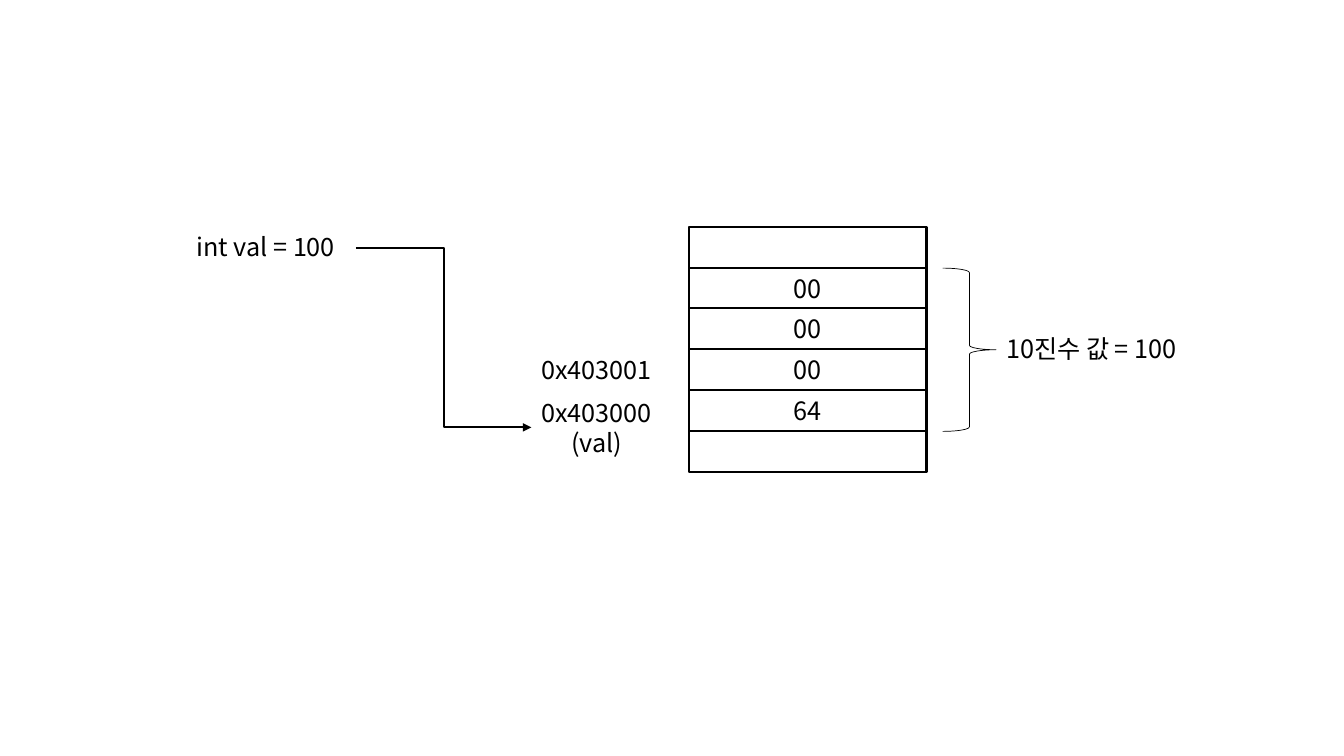
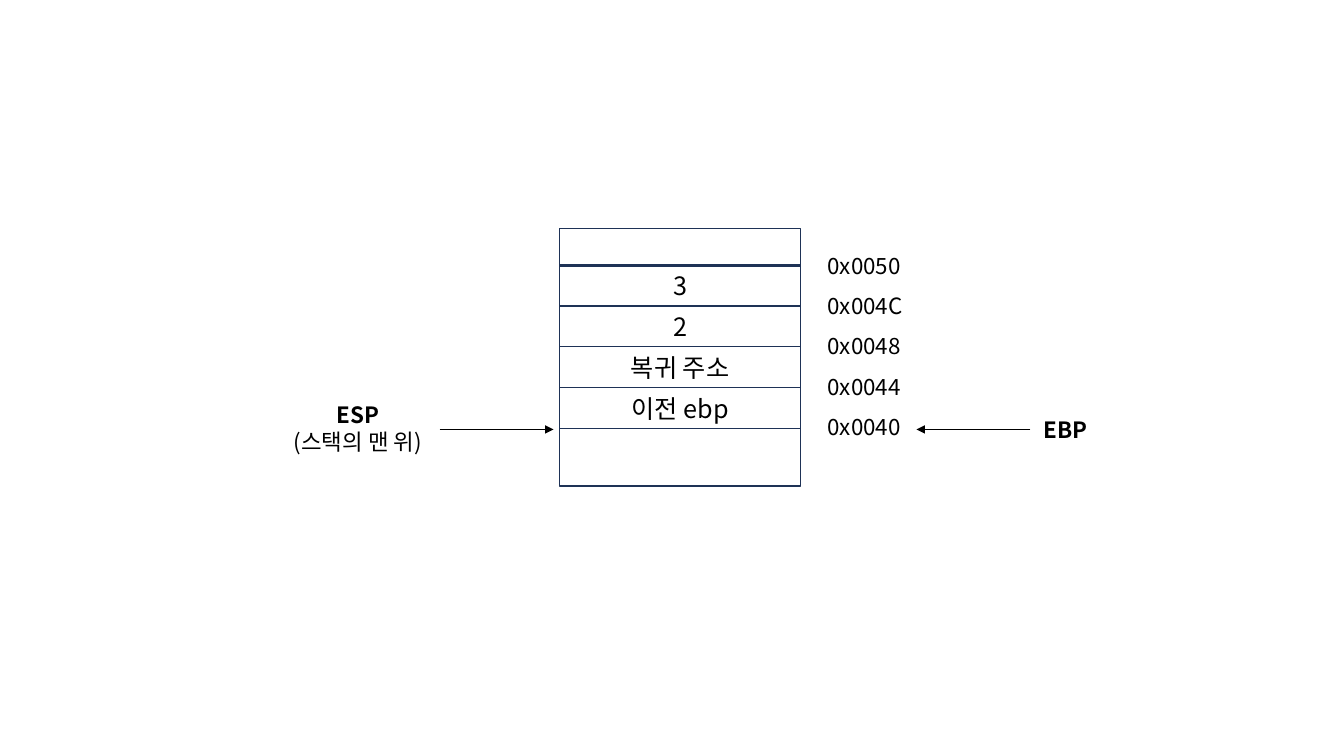
from lxml.etree import SubElement
from pptx import Presentation
from pptx.dml.color import RGBColor
from pptx.enum.shapes import MSO_CONNECTOR, MSO_SHAPE
from pptx.enum.text import MSO_ANCHOR, MSO_AUTO_SIZE, PP_ALIGN
from pptx.oxml.ns import qn
from pptx.util import Inches, Pt

BLACK = RGBColor(0x00, 0x00, 0x00)
NAVY = RGBColor(0x1E, 0x32, 0x56)
FONT = "Noto Sans CJK KR"
ROW_HEIGHT = 2.43 / 6


def style_paragraph(paragraph, size, align=PP_ALIGN.LEFT, bold=False):
    paragraph.alignment = align
    font = paragraph.font
    font.name = FONT
    font.size = Pt(size)
    font.bold = bold
    font.color.rgb = BLACK
    defaults = paragraph._p.get_or_add_pPr().find(qn("a:defRPr"))
    SubElement(defaults, qn("a:ea")).set("typeface", FONT)


def add_label(slide, box, lines, size):
    label = slide.shapes.add_textbox(*map(Inches, box))
    frame = label.text_frame
    frame.word_wrap = True
    frame.auto_size = MSO_AUTO_SIZE.SHAPE_TO_FIT_TEXT
    frame.text = "\n".join(text for text, _, _ in lines)
    for paragraph, (_, align, bold) in zip(frame.paragraphs, lines):
        style_paragraph(paragraph, size, align, bold)


def add_outline(slide, preset, box, color, weight):
    outline = slide.shapes.add_shape(preset, *map(Inches, box))
    outline.shadow.inherit = False
    outline.fill.background()
    outline.line.color.rgb = color
    outline.line.width = Pt(weight)
    return outline


def add_cell(slide, box, text, color, weight):
    cell = add_outline(slide, MSO_SHAPE.RECTANGLE, box, color, weight)
    if text:
        frame = cell.text_frame
        frame.vertical_anchor = MSO_ANCHOR.MIDDLE
        frame.text = text
        style_paragraph(frame.paragraphs[0], 18, PP_ALIGN.CENTER)


def add_cells(slide, left, top, width, texts, color, weight):
    for row, text in enumerate(texts):
        box = (left, top + row * ROW_HEIGHT, width, ROW_HEIGHT)
        add_cell(slide, box, text, color, weight)


def add_arrow(slide, kind, start, end, weight):
    arrow = slide.shapes.add_connector(kind, *map(Inches, start + end))
    arrow.line.color.rgb = BLACK
    arrow.line.width = Pt(weight)
    SubElement(arrow.line._get_or_add_ln(), qn("a:tailEnd")).set("type", "triangle")
    SubElement(arrow._element.spPr, qn("a:effectLst"))


def build_integer_slide(slide):
    left, center = PP_ALIGN.LEFT, PP_ALIGN.CENTER
    add_cells(slide, 6.83, 2.25, 2.36, ["", "00", "00", "00", "64", ""], BLACK, 1.5)
    add_outline(slide, MSO_SHAPE.RIGHT_BRACE, (9.35, 2.66, 0.53, 1.62), BLACK, 0.5)
    add_label(slide, (1.85, 2.25, 1.68, 0.4), [("int val = 100", left, False)], 18)
    add_label(slide, (9.88, 3.26, 2.14, 0.4), [("10진수 값 = 100", left, False)], 18)
    add_label(slide, (5.27, 3.47, 1.3, 0.4), [("0x403001", left, False)], 18)
    add_label(slide, (5.27, 3.89, 1.3, 0.71),
              [("0x403000", left, False), ("(val)", center, False)], 18)
    add_arrow(slide, MSO_CONNECTOR.ELBOW, (3.53, 2.46), (5.27, 4.24), 1.5)


def build_stack_slide(slide):
    center = PP_ALIGN.CENTER
    stack_left, stack_width = 5.55, 2.39
    add_cell(slide, (stack_left, 2.27, stack_width, 0.37), "", NAVY, 1)
    add_cell(slide, (stack_left, 3.04, stack_width, 1.78), "", NAVY, 1)
    add_cells(slide, stack_left, 2.63, stack_width,
              ["3", "2", "복귀 주소", "이전 ebp"], NAVY, 1)
    addresses = ["0x0050", "0x004C", "0x0048", "0x0044", "0x0040"]
    for row, address in enumerate(addresses):
        add_label(slide, (8.11, 2.45 + 0.4 * row, 1.05, 0.37),
                  [(address, PP_ALIGN.LEFT, False)], 16)
    add_label(slide, (2.8, 3.93, 1.5, 0.91),
              [("ESP", center, True), ("(스택의 맨 위)", center, False)], 16)
    add_label(slide, (10.21, 4.08, 0.72, 0.37), [("EBP", center, True)], 16)
    for start, end in [(4.36, 5.49), (10.22, 9.09)]:
        add_arrow(slide, MSO_CONNECTOR.STRAIGHT, (start, 4.26), (end, 4.26), 0.5)


def main():
    presentation = Presentation()
    presentation.slide_width = Inches(13.33)
    presentation.slide_height = Inches(7.5)
    blank = presentation.slide_layouts[6]
    for build in (build_integer_slide, build_stack_slide):
        build(presentation.slides.add_slide(blank))
    presentation.save("out.pptx")


if __name__ == "__main__":
    main()
